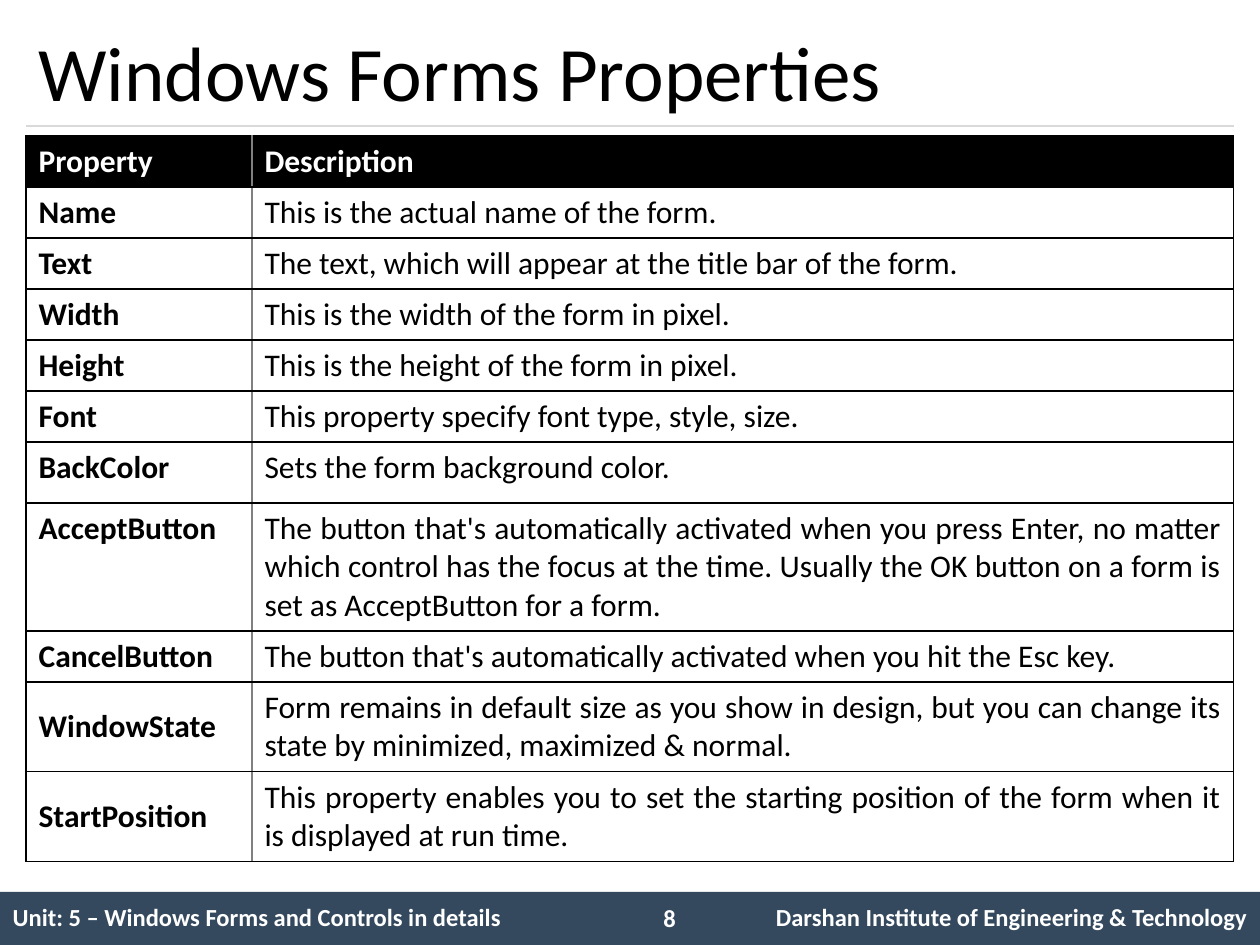
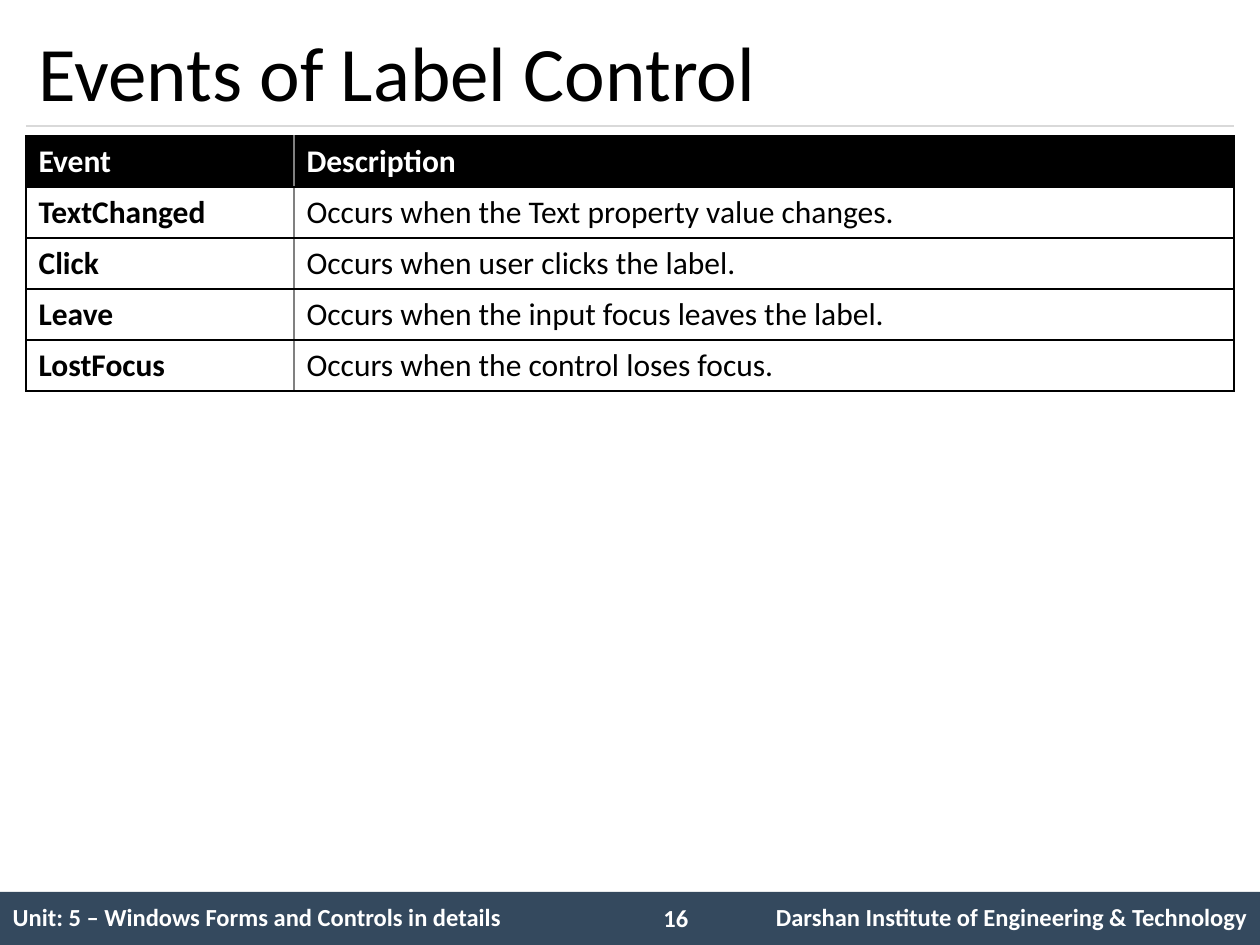
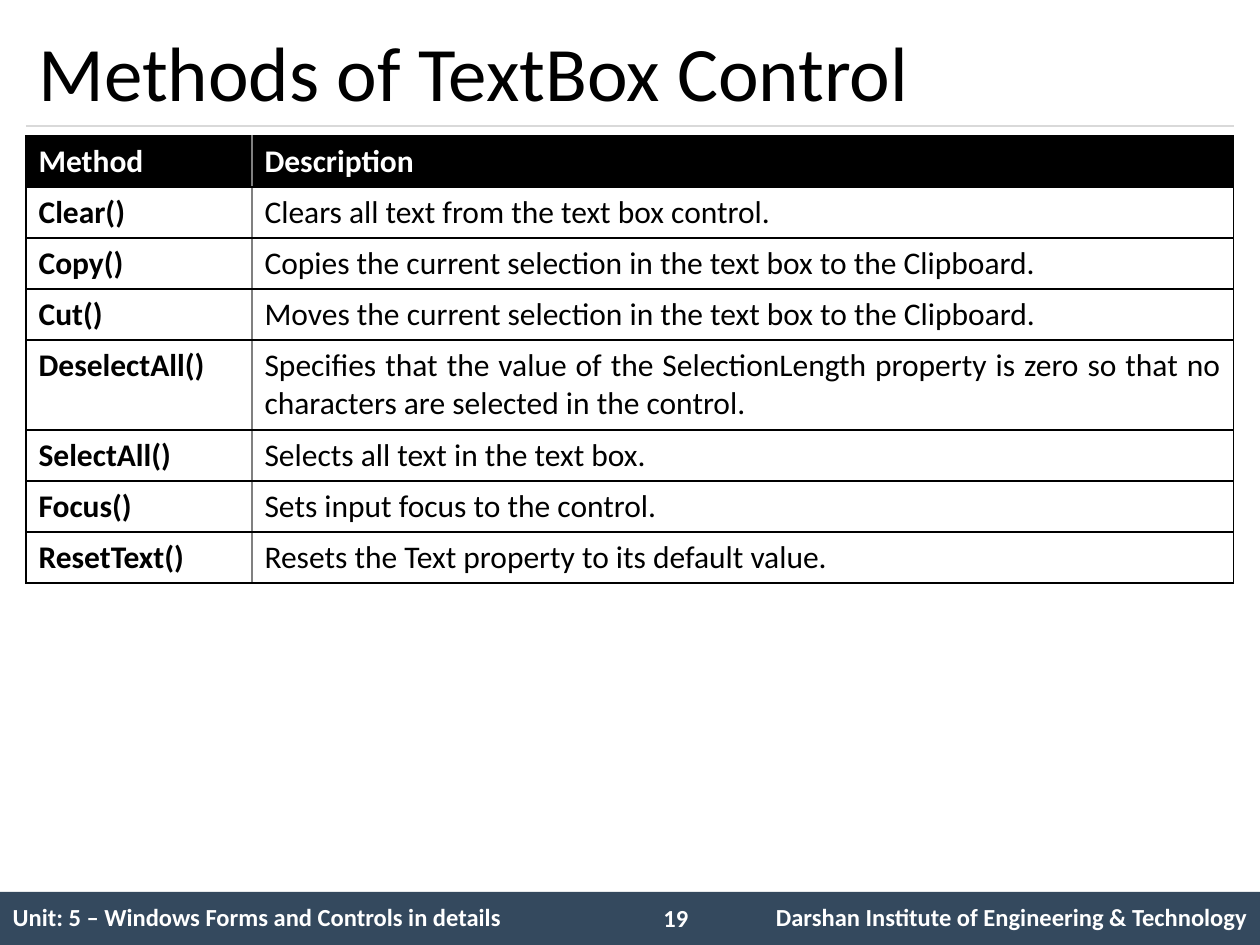
from collections import namedtuple

from lxml import etree
from pptx import Presentation
from pptx.dml.color import RGBColor
from pptx.enum.shapes import MSO_CONNECTOR, MSO_SHAPE
from pptx.enum.text import MSO_ANCHOR, PP_ALIGN
from pptx.oxml.ns import qn
from pptx.util import Emu, Pt

EMU_PER_PX = 914400 / 126
PAGE_WIDTH, PAGE_HEIGHT = 1260, 945
MARGIN = 26
CONTENT_WIDTH = PAGE_WIDTH - 2 * MARGIN
BAND_TOP = 892
BAND_HEIGHT = PAGE_HEIGHT - BAND_TOP
TABLE_TOP = 136

FONT = "Calibri"
BLACK = RGBColor(0x00, 0x00, 0x00)
WHITE = RGBColor(0xFF, 0xFF, 0xFF)
NAVY = RGBColor(0x34, 0x49, 0x5E)
PALE_GRAY = RGBColor(0xD9, 0xD9, 0xD9)
MID_GRAY = RGBColor(0x80, 0x80, 0x80)

TOP, MIDDLE = MSO_ANCHOR.TOP, MSO_ANCHOR.MIDDLE
LEFT, RIGHT, JUSTIFY = PP_ALIGN.LEFT, PP_ALIGN.RIGHT, PP_ALIGN.JUSTIFY
RECTANGLE, STRAIGHT = MSO_SHAPE.RECTANGLE, MSO_CONNECTOR.STRAIGHT

OUTER = (BLACK, 0.75)
DIVIDER = (MID_GRAY, 1)
NO_BORDERS = (None,) * 4

UNIT = "Unit: 5 – Windows Forms and Controls in details"
INSTITUTE = "Darshan Institute of Engineering & Technology"

ONE_LINE, TWO_LINES, THREE_LINES = 51, 90, 128
Entry = namedtuple("Entry", "name description height anchor",
                   defaults=(ONE_LINE, TOP))

FORM_PROPERTIES = [
    Entry("Name", "This is the actual name of the form."),
    Entry("Text", "The text, which will appear at the title bar of the form."),
    Entry("Width", "This is the width of the form in pixel."),
    Entry("Height", "This is the height of the form in pixel."),
    Entry("Font", "This property specify font type, style, size."),
    Entry("BackColor", "Sets the form background color.", 61),
    Entry("AcceptButton",
          "The button that's automatically activated when you press Enter, "
          "no matter which control has the focus at the time. Usually the OK "
          "button on a form is set as AcceptButton for a form.", THREE_LINES),
    Entry("CancelButton",
          "The button that's automatically activated when you hit the Esc key."),
    Entry("WindowState",
          "Form remains in default size as you show in design, but you can "
          "change its state by minimized, maximized & normal.",
          TWO_LINES, MIDDLE),
    Entry("StartPosition",
          "This property enables you to set the starting position of the form "
          "when it is displayed at run time.", TWO_LINES, MIDDLE),
]

LABEL_EVENTS = [
    Entry("TextChanged", "Occurs when the Text property value changes."),
    Entry("Click", "Occurs when user clicks the label."),
    Entry("Leave", "Occurs when the input focus leaves the label."),
    Entry("LostFocus", "Occurs when the control loses focus."),
]

TEXTBOX_METHODS = [
    Entry("Clear()", "Clears all text from the text box control."),
    Entry("Copy()",
          "Copies the current selection in the text box to the Clipboard."),
    Entry("Cut()",
          "Moves the current selection in the text box to the Clipboard."),
    Entry("DeselectAll()",
          "Specifies that the value of the SelectionLength property is zero so "
          "that no characters are selected in the control.", TWO_LINES),
    Entry("SelectAll()", "Selects all text in the text box."),
    Entry("Focus()", "Sets input focus to the control."),
    Entry("ResetText()", "Resets the Text property to its default value."),
]


def px(length):
    return Emu(round(length * EMU_PER_PX))


def set_borders(cell, borders):
    """Draw (colour, points) or None on the left, right, top and bottom."""
    properties = cell._tc.get_or_add_tcPr()
    for side, border in zip("LRTB", borders):
        line = etree.SubElement(properties, qn(f"a:ln{side}"))
        if border is None:
            etree.SubElement(line, qn("a:noFill"))
            continue
        color, points = border
        line.set("w", str(Pt(points)))
        fill = etree.SubElement(line, qn("a:solidFill"))
        etree.SubElement(fill, qn("a:srgbClr"), val=str(color))


class Deck:
    def __init__(self):
        self.presentation = Presentation()
        self.presentation.slide_width = px(PAGE_WIDTH)
        self.presentation.slide_height = px(PAGE_HEIGHT)
        self.page = None

    def add_text(self, frame, text, size, color, bold=False, align=LEFT):
        para = frame.paragraphs[0]
        para.alignment = align
        span = para.add_run()
        span.text = text
        span.font.name = FONT
        span.font.size = Pt(size)
        span.font.bold = bold
        span.font.color.rgb = color

    def text_box(self, left, top, width, height, text, size, color,
                 bold=False, anchor=TOP):
        box = self.page.shapes.add_textbox(
            px(left), px(top), px(width), px(height))
        box.text_frame.word_wrap = True
        box.text_frame.vertical_anchor = anchor
        self.add_text(box.text_frame, text, size, color, bold)

    def band(self):
        band = self.page.shapes.add_shape(
            RECTANGLE, 0, px(BAND_TOP), px(PAGE_WIDTH), px(BAND_HEIGHT))
        band.shadow.inherit = False
        band.fill.solid()
        band.fill.fore_color.rgb = NAVY
        band.line.fill.background()

    def title_rule(self):
        rule = self.page.shapes.add_connector(
            STRAIGHT, px(MARGIN), px(126), px(PAGE_WIDTH - MARGIN), px(126))
        rule.line.color.rgb = PALE_GRAY
        rule.line.width = Pt(0.75)
        etree.SubElement(rule._element.spPr, qn("a:effectLst"))

    def table(self, left, top, widths, heights):
        table = self.page.shapes.add_table(
            len(heights), len(widths), px(left), px(top),
            px(sum(widths)), px(sum(heights))).table
        table.horz_banding = False
        for column, width in zip(table.columns, widths):
            column.width = px(width)
        for row, height in zip(table.rows, heights):
            row.height = px(height)
        return table

    def cell(self, cell, text, size, color, bold, borders, fill=None,
             align=LEFT, anchor=TOP):
        set_borders(cell, borders)
        if fill is None:
            cell.fill.background()
        else:
            cell.fill.solid()
            cell.fill.fore_color.rgb = fill
        cell.vertical_anchor = anchor
        if text:
            self.add_text(cell.text_frame, text, size, color, bold, align)

    def footer(self, number):
        table = self.table(0, BAND_TOP, (640, 84, 536), (BAND_HEIGHT,))
        table.first_row = False
        for column, (text, align) in enumerate(
                ((UNIT, LEFT), ("", LEFT), (INSTITUTE, RIGHT))):
            self.cell(table.cell(0, column), text, 14, WHITE, True,
                      NO_BORDERS, align=align, anchor=MIDDLE)
        self.text_box(651, 897, 73, 43, str(number), 14, WHITE, bold=True)

    def start_page(self, title, number):
        blank = self.presentation.slide_layouts[6]
        self.page = self.presentation.slides.add_slide(blank)
        self.band()
        self.title_rule()
        self.footer(number)
        self.text_box(MARGIN, 15, CONTENT_WIDTH, 111, title, 44, BLACK,
                      anchor=MIDDLE)

    def reference_table(self, heading, entries, name_width, align=JUSTIFY):
        """Table of names and descriptions under a black header row."""
        rows = [Entry(heading, "Description"), *entries]
        table = self.table(MARGIN, TABLE_TOP,
                           (name_width, CONTENT_WIDTH - name_width),
                           [row.height for row in rows])
        for index, row in enumerate(rows):
            header = index == 0
            color, fill = (WHITE, BLACK) if header else (BLACK, None)
            self.cell(table.cell(index, 0), row.name, 18, color, True,
                      (OUTER, DIVIDER, OUTER, OUTER), fill,
                      anchor=row.anchor)
            self.cell(table.cell(index, 1), row.description, 18, color, header,
                      (DIVIDER, OUTER, OUTER, OUTER), fill,
                      LEFT if header else align, row.anchor)


def main():
    deck = Deck()

    deck.start_page("Windows Forms Properties", 8)
    deck.reference_table("Property", FORM_PROPERTIES, 226)

    deck.start_page("Events of Label Control", 16)
    deck.reference_table("Event", LABEL_EVENTS, 268, align=LEFT)

    deck.start_page("Methods of TextBox Control", 19)
    deck.reference_table("Method", TEXTBOX_METHODS, 226)

    deck.presentation.save("out.pptx")


if __name__ == "__main__":
    main()
